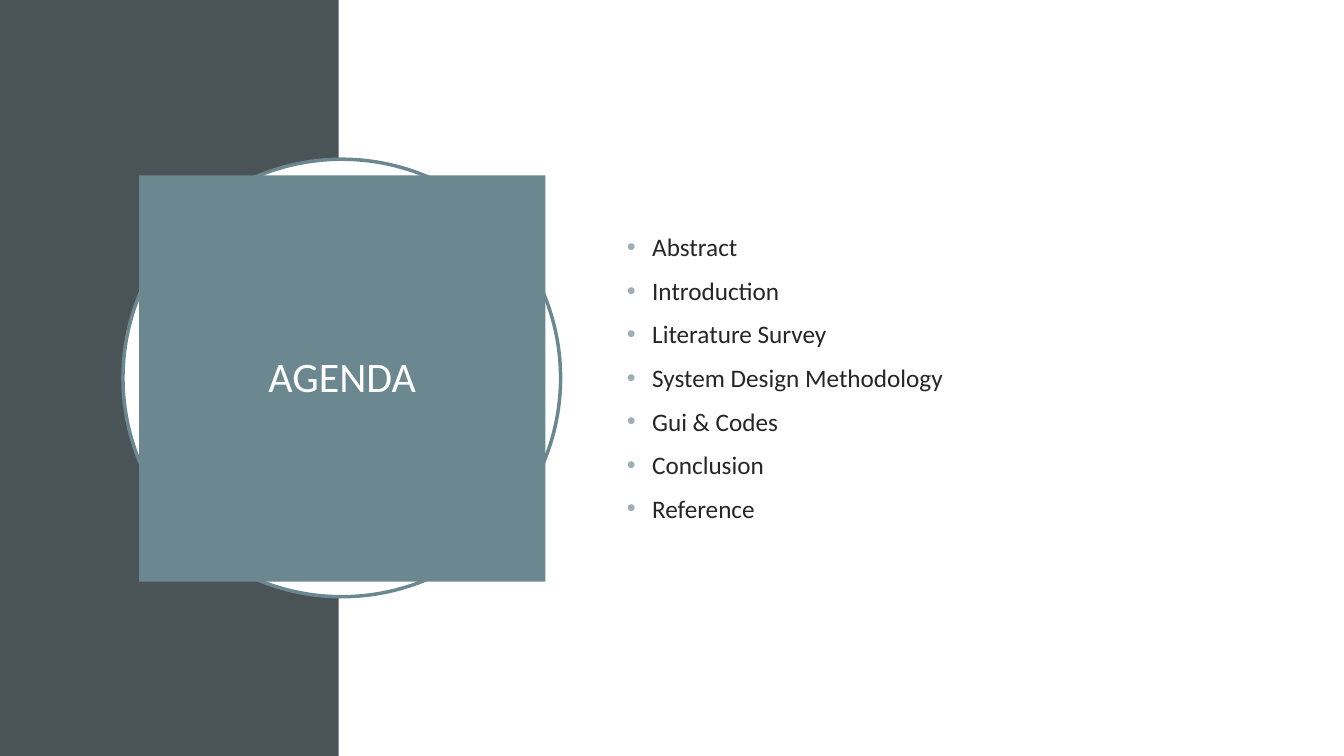
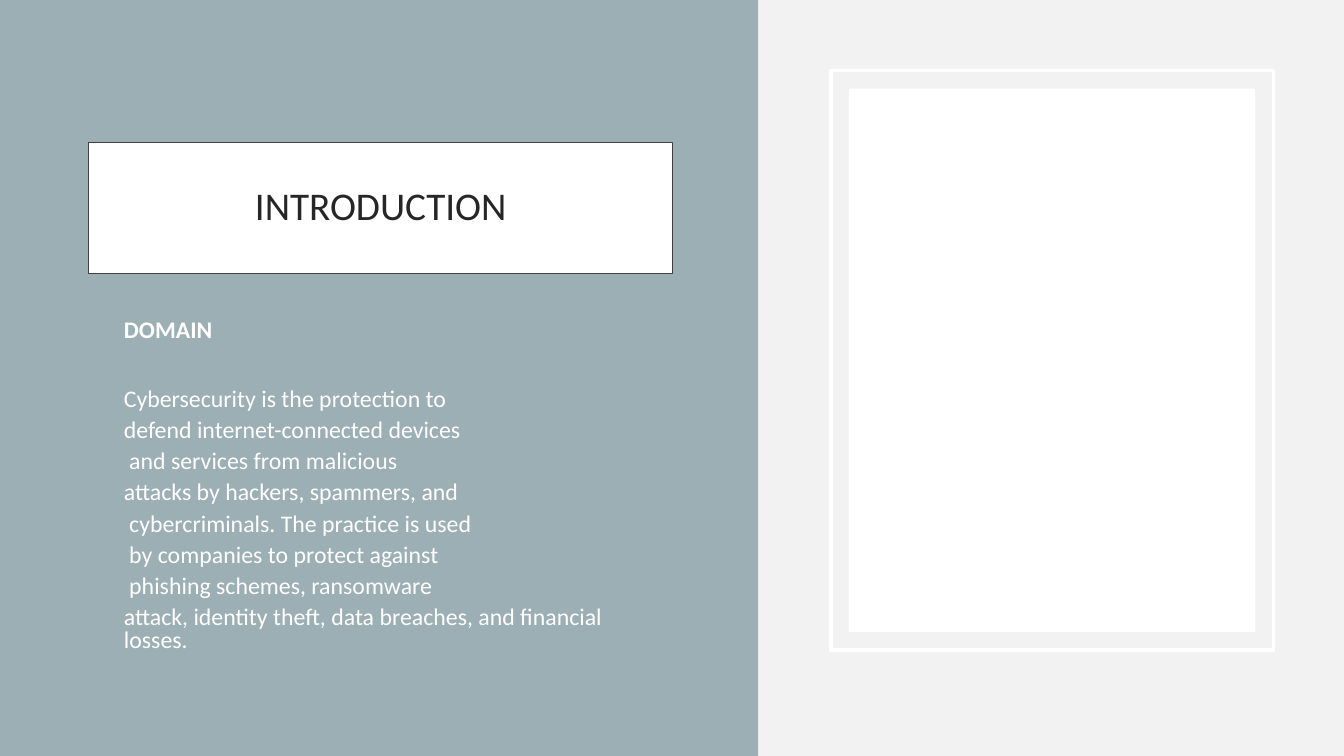
"""Build the agenda and introduction slides."""
from pptx import Presentation
from pptx.dml.color import RGBColor
from pptx.enum.shapes import MSO_SHAPE
from pptx.enum.text import MSO_ANCHOR, PP_ALIGN
from pptx.util import Inches, Pt
from lxml.etree import SubElement
from pptx.oxml.ns import qn

WHITE = RGBColor(0xFF, 0xFF, 0xFF)
SLATE = RGBColor(0x4A, 0x53, 0x56)
TEAL = RGBColor(0x6B, 0x88, 0x90)
MIST = RGBColor(0x9B, 0xAF, 0xB5)
PALE = RGBColor(0xF2, 0xF2, 0xF2)
INK = RGBColor(0x26, 0x26, 0x26)
EDGE = RGBColor(0x40, 0x40, 0x40)
FONT = "Calibri"
WIDE, HIGH = 13.33, 7.5

AGENDA = [
    "Abstract",
    "Introduction",
    "Literature Survey",
    "System Design Methodology",
    "Gui & Codes",
    "Conclusion",
    "Reference",
]
DOMAIN = [
    "Cybersecurity is the protection to",
    "defend internet-connected devices",
    " and services from malicious",
    "attacks by hackers, spammers, and",
    " cybercriminals. The practice is used",
    " by companies to protect against",
    " phishing schemes, ransomware",
    "attack, identity theft, data breaches, and financial losses.",
]


def add_page(deck, back):
    page = deck.slides.add_slide(deck.slide_layouts[6])
    page.background.fill.solid()
    page.background.fill.fore_color.rgb = back
    return page


def add_box(page, area, fill=None, line=None, width=2.5, kind=MSO_SHAPE.RECTANGLE):
    box = page.shapes.add_shape(kind, *map(Inches, area))
    box.shadow.inherit = False
    if fill is None:
        box.fill.background()
    else:
        box.fill.solid()
        box.fill.fore_color.rgb = fill
    if line is None:
        box.line.fill.background()
    else:
        box.line.color.rgb = line
        box.line.width = Pt(width)
    return box


def style(para, size, color, bold=False):
    font = para.font
    font.name, font.size, font.bold = FONT, Pt(size), bold
    font.color.rgb = color


def add_title(box, text, size, color):
    frame = box.text_frame
    frame.word_wrap = True
    frame.vertical_anchor = MSO_ANCHOR.MIDDLE
    frame.margin_left = frame.margin_right = Inches(0.2)
    frame.margin_top = frame.margin_bottom = Inches(0.2)
    para = frame.paragraphs[0]
    para.text = text
    para.alignment = PP_ALIGN.CENTER
    para.line_spacing = 0.9
    style(para, size, color)


def add_list(page, area, lines, size, color, gap, anchor):
    frame = page.shapes.add_textbox(*map(Inches, area)).text_frame
    frame.word_wrap = True
    frame.vertical_anchor = anchor
    for i, text in enumerate(lines):
        para = frame.add_paragraph() if i else frame.paragraphs[0]
        para.text = text
        para.space_before = Pt(gap if i else 0)
        style(para, size, color)
        para._p.get_or_add_pPr().set("marL", str(Inches(0.25)))
    return frame.paragraphs


def add_bullet(para):
    props = para._p.get_or_add_pPr()
    props.set("indent", str(Inches(-0.25)))
    tint = SubElement(props, qn("a:buClr"))
    SubElement(tint, qn("a:srgbClr")).set("val", str(MIST))
    SubElement(props, qn("a:buFont")).set("typeface", "Arial")
    SubElement(props, qn("a:buChar")).set("char", "•")


def build_agenda(deck):
    page = add_page(deck, WHITE)
    add_box(page, (0, 0, 3.36, HIGH), SLATE)
    add_box(page, (1.22, 1.58, 4.34, 4.34), WHITE, TEAL, kind=MSO_SHAPE.OVAL)
    title = add_box(page, (1.38, 1.74, 4.03, 4.03), TEAL)
    add_title(title, "AGENDA", 30, WHITE)
    area = (6.12, 1.53, 5.82, 4.43)
    for para in add_list(page, area, AGENDA, 18, INK, 9.5, MSO_ANCHOR.MIDDLE):
        add_bullet(para)


def build_intro(deck):
    page = add_page(deck, PALE)
    add_box(page, (0, 0, 7.52, HIGH), MIST)
    title = add_box(page, (0.88, 1.41, 5.79, 1.3), WHITE, EDGE, 0.75)
    add_title(title, "INTRODUCTION", 28, INK)
    area = (0.88, 3.13, 5.78, 3.33)
    lines = ["DOMAIN"] + DOMAIN
    paras = add_list(page, area, lines, 17, WHITE, 6, MSO_ANCHOR.TOP)
    for para in paras:
        para.line_spacing = 0.8
    paras[0].font.bold = True
    paras[1].space_before = Pt(32.5)
    add_box(page, (8.24, 0.7, 4.39, 5.75), line=WHITE)
    add_box(page, (8.42, 0.88, 4.03, 5.39), WHITE)


def main():
    deck = Presentation()
    deck.slide_width, deck.slide_height = Inches(WIDE), Inches(HIGH)
    build_agenda(deck)
    build_intro(deck)
    deck.save("out.pptx")


if __name__ == "__main__":
    main()
